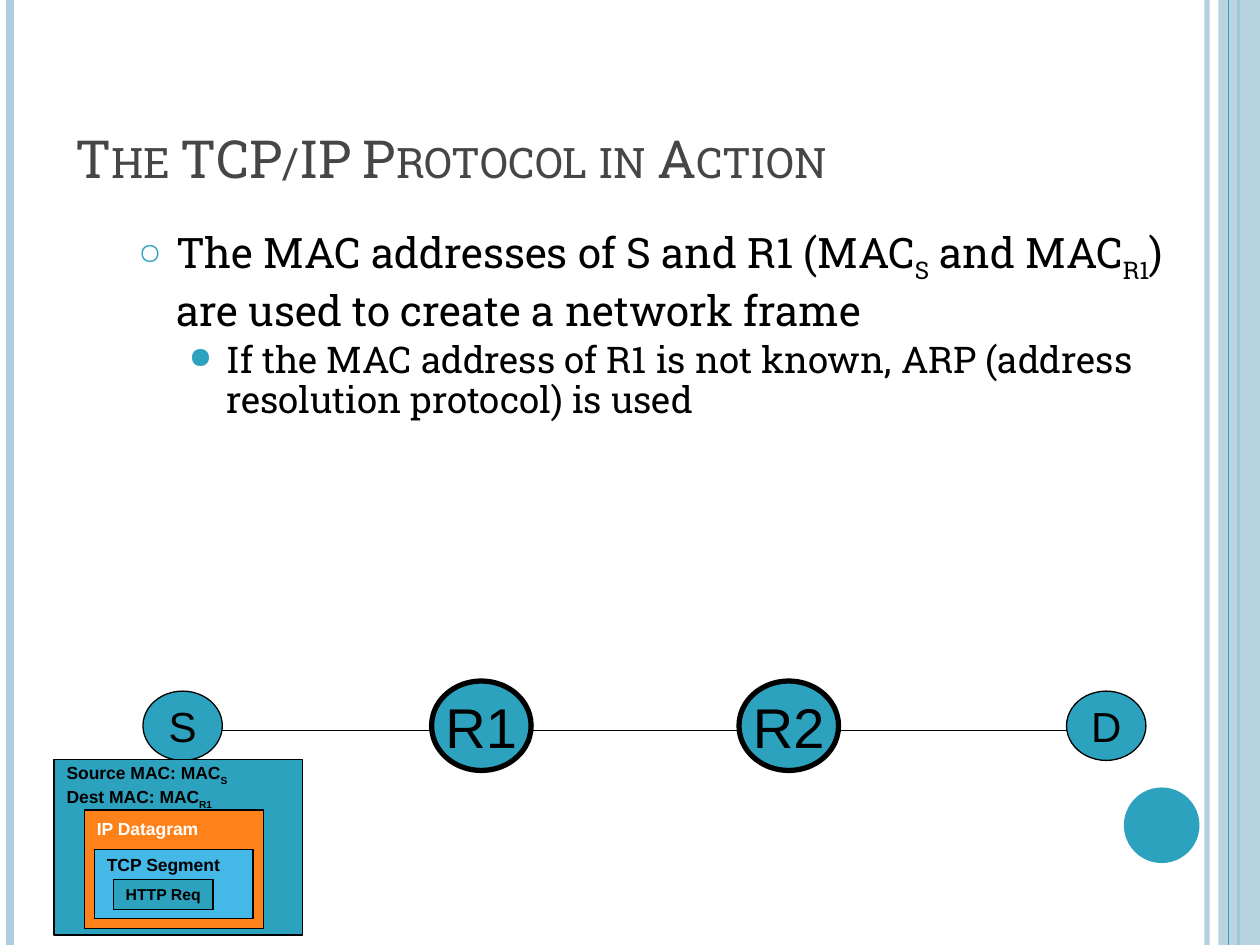
from dataclasses import dataclass

from lxml import etree
from pptx import Presentation
from pptx.dml.color import RGBColor
from pptx.enum.shapes import MSO_CONNECTOR, MSO_SHAPE
from pptx.enum.text import MSO_ANCHOR, PP_ALIGN
from pptx.oxml.ns import qn
from pptx.util import Inches, Pt

STRAIGHT = MSO_CONNECTOR.STRAIGHT
RECTANGLE, OVAL = MSO_SHAPE.RECTANGLE, MSO_SHAPE.OVAL
TOP, MIDDLE, BOTTOM = MSO_ANCHOR.TOP, MSO_ANCHOR.MIDDLE, MSO_ANCHOR.BOTTOM
LEFT, CENTER = PP_ALIGN.LEFT, PP_ALIGN.CENTER


@dataclass(frozen=True)
class Theme:
    teal: str = "2DA2BF"
    pale: str = "ADCEDC"
    orange: str = "FF8119"
    sky: str = "44B9E8"
    black: str = "000000"
    white: str = "FFFFFF"
    gray: str = "464646"
    serif: str = "Roboto Slab"
    sans: str = "Arial"
    title: float = 30
    body: float = 24
    detail: float = 21
    host: float = 24
    router: float = 32
    layer: float = 10
    request: float = 9


THEME = Theme()


@dataclass(frozen=True)
class Stripe:
    x: float
    width: float
    color: str
    opacity: int = 100


@dataclass(frozen=True)
class Node:
    name: str
    center: float
    width: float
    height: float
    size: float
    outline: float


@dataclass(frozen=True)
class Layer:
    lines: tuple
    place: tuple
    fill: str
    color: str
    size: float
    inset: float = 0
    anchor: MSO_ANCHOR = TOP
    align: PP_ALIGN = LEFT


@dataclass(frozen=True)
class Bullet:
    pieces: tuple
    size: float
    mark: str
    mark_percent: int
    indent: float
    before: float
    spacing: float


def set_opacity(holder, percent: int) -> None:
    color = holder.find(".//" + qn("a:srgbClr"))
    etree.SubElement(color, qn("a:alpha"), val=str(percent * 1000))


def draw_line(slide, start: tuple, end: tuple, color: str, width: float, opacity: int = 100) -> None:
    line = slide.shapes.add_connector(STRAIGHT, *(Inches(v) for v in start + end))
    line.line.color.rgb = RGBColor.from_string(color)
    line.line.width = Pt(width)
    properties = line._element.spPr
    if opacity < 100:
        set_opacity(properties, opacity)
    etree.SubElement(properties, qn("a:effectLst"))


def draw_shape(slide, kind: MSO_SHAPE, place: tuple, fill: str, outline: float = 0):
    shape = slide.shapes.add_shape(kind, *(Inches(v) for v in place))
    shape.shadow.inherit = False
    shape.fill.solid()
    shape.fill.fore_color.rgb = RGBColor.from_string(fill)
    if outline:
        shape.line.color.rgb = RGBColor.from_string(THEME.black)
        shape.line.width = Pt(outline)
    else:
        shape.line.fill.background()
    return shape


def write_pieces(para, pieces: tuple, font: str, size: float, color: str, bold: bool = False) -> None:
    """Every second piece is a subscript."""
    for index, piece in enumerate(pieces):
        span = para.add_run()
        span.text = piece
        span.font.name, span.font.size, span.font.bold = font, Pt(size), bold
        span.font.color.rgb = RGBColor.from_string(color)
        if index % 2:
            span.font._element.set("baseline", "-25000")


def add_text_box(slide, place: tuple, anchor: MSO_ANCHOR):
    frame = slide.shapes.add_textbox(*(Inches(v) for v in place)).text_frame
    frame.word_wrap = True
    frame.vertical_anchor = anchor
    return frame


def next_para(frame, index: int):
    return frame.add_paragraph() if index else frame.paragraphs[0]


def draw_node(slide, node: Node) -> None:
    place = (node.center - node.width / 2, NODE_Y - node.height / 2, node.width, node.height)
    frame = draw_shape(slide, OVAL, place, THEME.teal, node.outline).text_frame
    frame.word_wrap = False
    frame.vertical_anchor = MIDDLE
    frame.paragraphs[0].alignment = CENTER
    write_pieces(frame.paragraphs[0], (node.name,), THEME.sans, node.size, THEME.black)


def draw_layer(slide, layer: Layer) -> None:
    frame = draw_shape(slide, RECTANGLE, layer.place, layer.fill, 0.75).text_frame
    frame.word_wrap = False
    frame.vertical_anchor = layer.anchor
    frame.margin_top = frame.margin_bottom = Inches(layer.inset)
    for index, pieces in enumerate(layer.lines):
        para = next_para(frame, index)
        para.alignment = layer.align
        write_pieces(para, pieces, THEME.sans, layer.size, layer.color, bold=True)


def write_bullet(para, bullet: Bullet) -> None:
    para.space_before = Pt(bullet.before)
    para.line_spacing = bullet.spacing
    write_pieces(para, bullet.pieces, THEME.serif, bullet.size, THEME.black)
    properties = para._p.get_or_add_pPr()
    properties.set("marL", str(Inches(bullet.indent)))
    properties.set("indent", str(Inches(-0.3)))
    color = etree.SubElement(properties, qn("a:buClr"))
    etree.SubElement(color, qn("a:srgbClr"), val=THEME.teal)
    etree.SubElement(properties, qn("a:buSzPct"), val=str(bullet.mark_percent * 1000))
    etree.SubElement(properties, qn("a:buChar"), char=bullet.mark)


NODE_Y = 5.76
STRIPES_BEHIND = (Stripe(9.58, 3, THEME.pale, 93), Stripe(0.08, 4.5, THEME.pale),
                  Stripe(9.83, 1.5, THEME.teal))
STRIPES_FRONT = (Stripe(9.75, 0.75, THEME.teal),)
NODES = (
    Node("S", 1.45, 0.63, 0.55, THEME.host, 0.75),
    Node("D", 8.78, 0.63, 0.55, THEME.host, 0.75),
    Node("R1", 3.82, 0.79, 0.71, THEME.router, 3),
    Node("R2", 6.26, 0.79, 0.71, THEME.router, 3),
)
LAYERS = (
    Layer((("Source MAC: MAC", "S"), ("Dest MAC: MAC", "R1")), (0.43, 6.03, 1.97, 1.39),
          THEME.teal, THEME.black, THEME.layer, 0.02),
    Layer((("IP Datagram",),), (0.67, 6.43, 1.42, 0.94),
          THEME.orange, THEME.white, THEME.layer, 0.06),
    Layer((("TCP Segment",),), (0.75, 6.74, 1.26, 0.55),
          THEME.sky, THEME.black, THEME.layer, 0.04),
    Layer((("HTTP Req",),), (0.9, 6.98, 0.79, 0.24),
          THEME.teal, THEME.black, THEME.request, 0, MIDDLE, CENTER),
)
BULLETS = (
    Bullet(("The MAC addresses of S and R1 (MAC", "S", " and MAC", "R1",
            ") are used to create a network frame"), THEME.body, "○", 70, 0.3, 6, 1.0),
    Bullet(("If the MAC address of R1 is not known, ARP (address resolution protocol) is used",),
           THEME.detail, "●", 80, 0.7, 4.2, 0.9),
)


def main() -> None:
    deck = Presentation()
    deck.slide_width, deck.slide_height = Inches(10), Inches(7.5)
    page = deck.slides.add_slide(deck.slide_layouts[6])

    # Side decoration
    for stripe in STRIPES_BEHIND:
        draw_line(page, (stripe.x, 0), (stripe.x, 7.5), stripe.color, stripe.width, stripe.opacity)
    band = draw_shape(page, RECTANGLE, (9.67, 0, 0.33, 7.5), THEME.pale)
    set_opacity(band._element.spPr, 87)
    for stripe in STRIPES_FRONT:
        draw_line(page, (stripe.x, 0), (stripe.x, 7.5), stripe.color, stripe.width)
    draw_shape(page, OVAL, (8.92, 6.25, 0.6, 0.6), THEME.teal)

    # Title and bullets
    title = add_text_box(page, (0.5, 0.3, 8.17, 1.25), BOTTOM).paragraphs[0]
    write_pieces(title, ("The TCP/IP Protocol in Action",), THEME.serif, THEME.title, THEME.gray)
    title.runs[0].font._element.set("cap", "small")
    body = add_text_box(page, (1, 1.75, 8.5, 2.39), TOP)
    for index, bullet in enumerate(BULLETS):
        write_bullet(next_para(body, index), bullet)

    # Network path and nested frame
    draw_line(page, (1.46, 5.8), (8.86, 5.8), THEME.black, 0.75)
    for node in NODES:
        draw_node(page, node)
    for layer in LAYERS:
        draw_layer(page, layer)

    deck.save("out.pptx")


if __name__ == "__main__":
    main()
